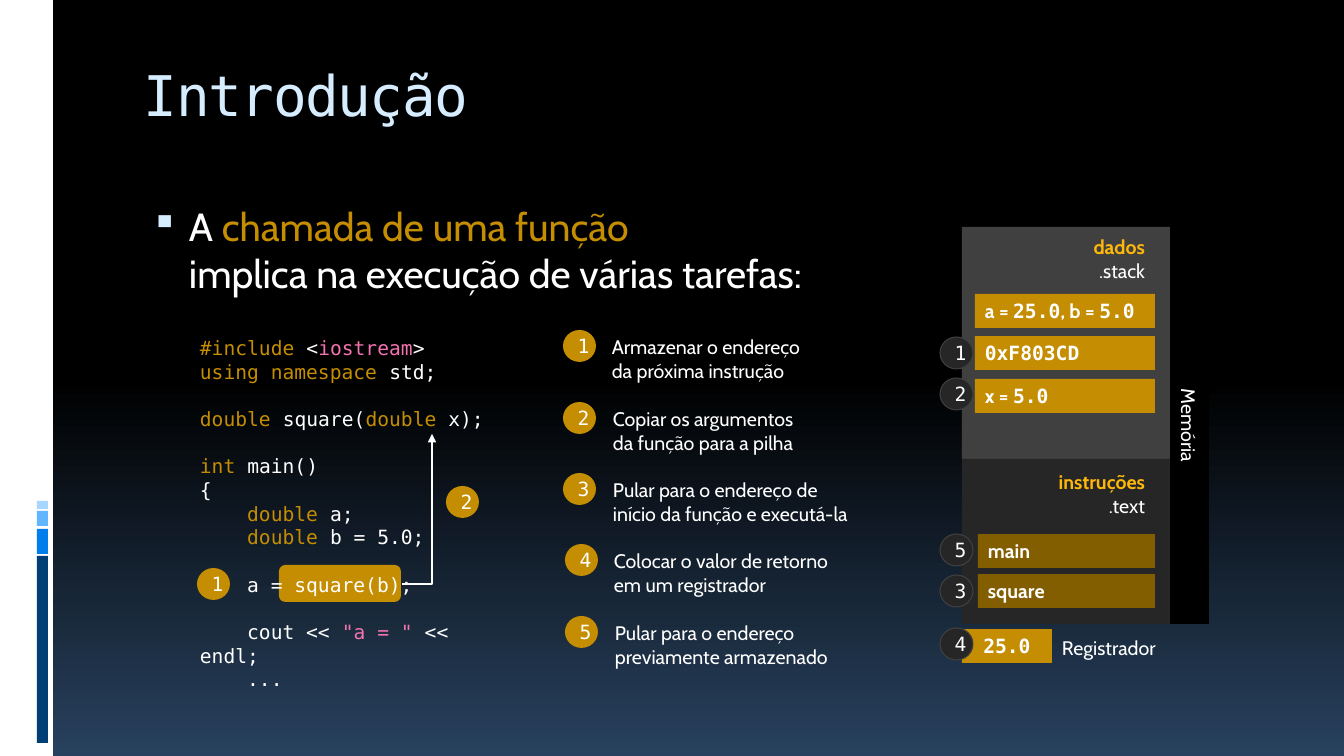
"""Build the slide on what happens when a function is called."""
from copy import deepcopy

from lxml import etree
from pptx import Presentation
from pptx.dml.color import RGBColor
from pptx.enum.shapes import MSO_CONNECTOR, MSO_SHAPE
from pptx.enum.text import MSO_ANCHOR, PP_ALIGN
from pptx.oxml.ns import qn
from pptx.util import Pt

PX = 9525 * 20 / 21
RECTANGLE, ROUNDED, OVAL = MSO_SHAPE.RECTANGLE, MSO_SHAPE.ROUNDED_RECTANGLE, MSO_SHAPE.OVAL
LEFT, CENTER, RIGHT = PP_ALIGN.LEFT, PP_ALIGN.CENTER, PP_ALIGN.RIGHT
TOP, MIDDLE = MSO_ANCHOR.TOP, MSO_ANCHOR.MIDDLE
ELBOW = MSO_CONNECTOR.ELBOW
CABIN, MONO = "Cabin", "DejaVu Sans Mono"
WHITE, BLACK, GOLD, PINK, PALE = "FFFFFF", "000000", "C58D01", "F273AF", "D6ECFF"
AMBER, BROWN, GRAY, DARK = "FEB80A", "835E01", "404040", "262626"
color = RGBColor.from_string

presentation = Presentation()
presentation.slide_width, presentation.slide_height = round(1344 * PX), round(756 * PX)
slide = presentation.slides.add_slide(presentation.slide_layouts[6])
background = slide.background.fill
background.gradient()
background.gradient_angle = 270
for stop, (position, shade) in zip(background.gradient_stops, [(0.5, BLACK), (1, "28415E")]):
    stop.position = position
    stop.color.rgb = color(shade)


def add_box(left, top, width, height, fill=None, kind=RECTANGLE, line=None):
    """Add a filled shape, or a text box when there is no fill."""
    bounds = [round(length * PX) for length in (left, top, width, height)]
    if fill is None:
        return slide.shapes.add_textbox(*bounds)
    shape = slide.shapes.add_shape(kind, *bounds)
    shape.shadow.inherit = False
    shape.fill.solid()
    shape.fill.fore_color.rgb = color(fill)
    if line:
        shape.line.color.rgb = color(line)
        shape.line.width = Pt(0.75)
    else:
        shape.line.fill.background()
    return shape


def write(shape, paragraphs, font=CABIN, size=14, align=LEFT, anchor=TOP, bold=False):
    """Write paragraphs made of (text, colour[, font]) pieces."""
    frame = shape.text_frame
    frame.word_wrap = True
    frame.vertical_anchor = anchor
    for index, pieces in enumerate(paragraphs):
        paragraph = frame.add_paragraph() if index else frame.paragraphs[0]
        paragraph.alignment = align
        for text, shade, *own_font in pieces:
            for number, part in enumerate(text.split("\v")):
                if number:
                    paragraph.add_line_break()
                run = paragraph.add_run()
                run.text = part
                run.font.name = own_font[0] if own_font else font
                run.font.size = Pt(size)
                run.font.bold = bold
                run.font.color.rgb = color(shade)
        for line_break in paragraph._p.findall(qn("a:br")):
            line_break.append(deepcopy(paragraph.runs[0]._r.rPr))
    return frame


add_box(0, 0, 53, 756, WHITE)
for top, height, fill in [(556, 187, "003F75"), (529, 25, "007EEB"),
                          (511, 15, "61B6FF"), (501, 8, "A7D6FF")]:
    add_box(37, top, 11, height, fill)

title = write(add_box(134, 56, 1142, 101), [[("Introdução", PALE)]], MONO, 40)
title.paragraphs[0].runs[0]._r.rPr.set("spc", "-100")

body = write(add_box(134, 197, 1142, 504), [[
    ("A ", WHITE), ("chamada de uma função ", GOLD),
    ("\vimplica na execução de várias tarefas:", WHITE)]], size=28)
body.paragraphs[0].space_before = Pt(7)
properties = body.paragraphs[0]._p.get_or_add_pPr()
properties.set("marL", str(round(45 * PX)))
properties.set("indent", str(round(-38 * PX)))
bullet_color = etree.SubElement(properties, qn("a:buClr"))
etree.SubElement(bullet_color, qn("a:srgbClr"), val=PALE)
etree.SubElement(properties, qn("a:buSzPct"), val="95000")
etree.SubElement(properties, qn("a:buChar"), char="▪")

add_box(279, 565, 122, 37, GOLD, ROUNDED)
code_lines = [
    [("#include ", GOLD), ("<", WHITE), ("iostream", PINK), (">", WHITE)],
    [("using namespace ", GOLD), ("std;", WHITE)],
    [("double ", GOLD), ("square(", WHITE), ("double", GOLD), (" x);", WHITE)],
    [("int ", GOLD), ("main()", WHITE)],
    [("{", WHITE)],
    [("    double", GOLD), (" a;", WHITE)],
    [("    double", GOLD), (" b = 5.0;", WHITE)],
    [("    a = square(b);", WHITE)],
    [("    cout << ", WHITE), ('"a = " ', PINK), ("<< endl;", WHITE)],
    [("    ...", WHITE)],
]
code = write(add_box(190, 331, 331, 343), code_lines, MONO)
for paragraph in code.paragraphs:
    paragraph.line_spacing = Pt(16.9)
for index in (2, 3, 7, 8):
    code.paragraphs[index].space_before = Pt(16.9)

memory = write(add_box(1169, 227, 40, 397, BLACK), [[("Memória", WHITE)]],
               align=CENTER, anchor=MIDDLE)
memory._txBody.bodyPr.set("vert", "vert")
for top, height, fill, label_top, name, section in [
        (227, 232, GRAY, 230, "dados", ".stack"),
        (459, 165, DARK, 465, "instruções", ".text")]:
    add_box(962, top, 208, height, fill)
    label = write(add_box(949, label_top, 206, 57), [[(name, AMBER)], [(section, WHITE)]],
                  align=RIGHT)
    label.paragraphs[0].runs[0].font.bold = True

for left, top, width, fill, align, pieces in [
        (975, 294, 180, GOLD, LEFT, [("a = ", WHITE), ("25.0", WHITE, MONO),
                                     (", b = ", WHITE), ("5.0", WHITE, MONO)]),
        (975, 336, 180, GOLD, LEFT, [("0xF803CD", WHITE, MONO)]),
        (975, 379, 180, GOLD, LEFT, [("x = ", WHITE), ("5.0", WHITE, MONO)]),
        (978, 534, 177, BROWN, LEFT, [("main", WHITE)]),
        (978, 574, 177, BROWN, LEFT, [("square", WHITE)]),
        (962, 629, 90, GOLD, CENTER, [("25.0", WHITE, MONO)])]:
    write(add_box(left, top, width, 34, fill), [pieces], align=align, anchor=MIDDLE, bold=True)
register = write(add_box(1052, 631, 116, 34), [[("Registrador", WHITE)]])
register.word_wrap = False

steps = [
    (563, 602, "Armazenar o endereço \vda próxima instrução"),
    (563, 603, "Copiar os argumentos \vda função para a pilha"),
    (563, 603, "Pular para o endereço de \vinício da função e executá-la"),
    (565, 604, "Colocar o valor de retorno \vem um registrador"),
    (565, 605, "Pular para o endereço \vpreviamente armazenado"),
]
badges = [(197, 568, 1, GOLD, None), (446, 486, 2, GOLD, None)]
for index, (badge_left, text_left, text) in enumerate(steps):
    top = 330 + round(71.5 * index)
    write(add_box(text_left, top, 290, 57), [[(text, WHITE)]])
    badges.append((badge_left, top, index + 1, GOLD, None))
for top, number in [(337, 1), (378, 2), (575, 3), (628, 4), (534, 5)]:
    badges.append((940, top, number, DARK, GRAY))
for left, top, number, fill, line in badges:
    write(add_box(left, top, 33, 32, fill, OVAL, line), [[(str(number), WHITE)]],
          MONO, align=CENTER, anchor=MIDDLE)

arrow = slide.shapes.add_connector(
    ELBOW, *[round(length * PX) for length in (402, 584, 432, 434)])
arrow.line.color.rgb = color(WHITE)
arrow.line.width = Pt(0.94)
arrow_properties = arrow._element.spPr
arrow_properties.find(qn("a:prstGeom")).set("prst", "bentConnector2")
etree.SubElement(arrow.line._get_or_add_ln(), qn("a:tailEnd"), type="triangle")
etree.SubElement(arrow_properties, qn("a:effectLst"))

presentation.save("out.pptx")
